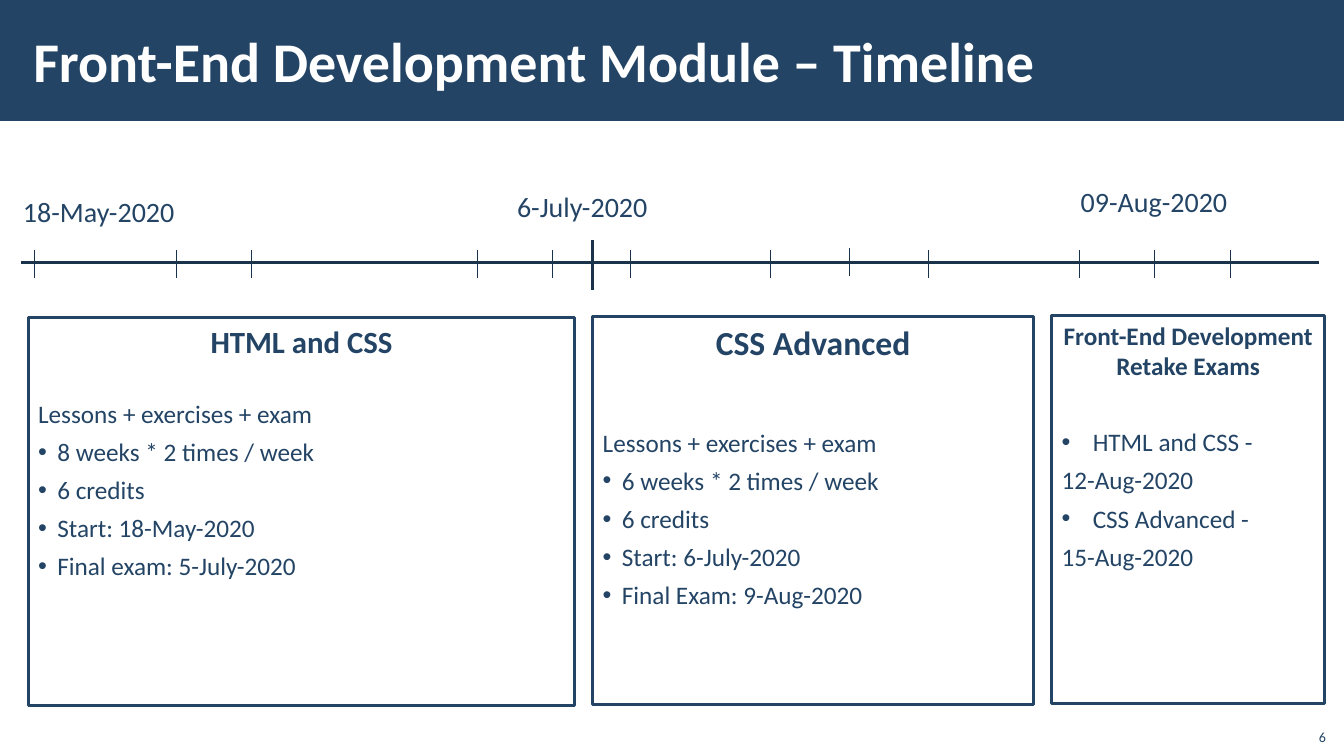
import dataclasses

import pptx
import pptx.dml.color
import pptx.enum.shapes
import pptx.enum.text
import pptx.oxml.ns
import pptx.util
from lxml import etree
from pptx.util import Inches

PP_ALIGN = pptx.enum.text.PP_ALIGN
ANCHOR = pptx.enum.text.MSO_ANCHOR
qn = pptx.oxml.ns.qn


@dataclasses.dataclass(frozen=True)
class Theme:
    font: str = "Calibri"
    navy: str = "234465"
    axis: str = "1A334C"
    white: str = "FFFFFF"
    title: int = 40
    date: int = 20
    body: int = 18
    number: int = 10
    row_gap: float = 5.6
    border: float = 2
    axis_width: float = 2.25
    tick_width: float = 0.5


THEME = Theme()
AXIS_Y = 2.6
TICKS = [0.34, 1.75, 2.49, 4.73, 5.48, 6.25, 7.64, 9.21, 10.71, 11.45, 12.2]
DATES = [
    ("18-May-2020", 0.13, 1.88),
    ("6-July-2020", 5.03, 1.83),
    ("09-Aug-2020", 10.62, 1.78),
]
COURSES = [
    dict(
        box=(0.28, 3.15, 5.42, 3.85), heading="HTML and CSS", size=22, gap=22, indent=0.19,
        rows=[
            ("Lessons + exercises + exam", False),
            ("8 weeks * 2 times / week", True),
            ("6 credits", True),
            ("Start: 18-May-2020", True),
            ("Final exam: 5-July-2020", True),
        ],
    ),
    dict(
        box=(5.88, 3.14, 4.37, 3.85), heading="CSS Advanced", size=24, gap=41, indent=0.19,
        rows=[
            ("Lessons + exercises + exam", False),
            ("6 weeks * 2 times / week", True),
            ("6 credits", True),
            ("Start: 6-July-2020", True),
            ("Final Exam: 9-Aug-2020", True),
        ],
    ),
    dict(
        box=(10.43, 3.13, 2.71, 3.85), heading="Front-End Development\vRetake Exams",
        size=18, gap=27, indent=0.31,
        rows=[
            ("HTML and CSS -", True),
            ("12-Aug-2020", False),
            ("CSS Advanced -", True),
            ("15-Aug-2020", False),
        ],
    ),
]


def rgb(value):
    return pptx.dml.color.RGBColor.from_string(value)


def apply(target, values):
    for name, value in values.items():
        setattr(target, name, value)


def write(p, text, size, color=THEME.navy, bold=False, **paragraph):
    p.text = text
    apply(p, {"alignment": PP_ALIGN.LEFT, **paragraph})
    for r in p.runs:
        apply(r.font, {"name": THEME.font, "size": pptx.util.Pt(size), "bold": bold})
        r.font.color.rgb = rgb(color)


def add_bullet(p, indent):
    pPr = p._p.get_or_add_pPr()
    pPr.set("marL", str(Inches(indent)))
    pPr.set("indent", str(-Inches(indent)))
    etree.SubElement(pPr, qn("a:buFont")).set("typeface", "Arial")
    etree.SubElement(pPr, qn("a:buChar")).set("char", "•")


def add_rect(s, box, fill, line=None):
    sp = s.shapes.add_shape(pptx.enum.shapes.MSO_SHAPE.RECTANGLE, *map(Inches, box))
    sp.shadow.inherit = False
    sp.fill.solid()
    sp.fill.fore_color.rgb = rgb(fill)
    if line:
        sp.line.color.rgb = rgb(line)
        sp.line.width = pptx.util.Pt(THEME.border)
    else:
        sp.line.fill.background()
    return sp


def add_title(s, text):
    title = s.shapes.title
    band = add_rect(s, (0, 0, 13.34, 1.2), THEME.navy)
    title._element.addprevious(band._element)
    apply(title, dict(left=Inches(0.21), top=Inches(0.11), width=Inches(10.63), height=Inches(0.97)))
    tf = title.text_frame
    apply(tf, dict(
        vertical_anchor=ANCHOR.MIDDLE, auto_size=pptx.enum.text.MSO_AUTO_SIZE.NONE,
        margin_left=Inches(0.12), margin_right=Inches(0.12),
        margin_top=Inches(0.04), margin_bottom=Inches(0.04),
    ))
    write(tf.paragraphs[0], text, THEME.title, THEME.white, True)


def add_line(shapes, start, end, width):
    points = map(Inches, (*start, *end))
    line = shapes.add_connector(pptx.enum.shapes.MSO_CONNECTOR.STRAIGHT, *points)
    line.line.color.rgb = rgb(THEME.axis)
    line.line.width = pptx.util.Pt(width)
    etree.SubElement(line._element.spPr, qn("a:effectLst"))


def add_timeline(s):
    shapes = s.shapes.add_group_shape().shapes
    add_line(shapes, (0.21, AXIS_Y), (13.08, AXIS_Y), THEME.axis_width)
    add_line(shapes, (5.88, 2.38), (5.88, 2.88), THEME.axis_width)
    for x, top in [(x, 2.48) for x in TICKS] + [(8.42, 2.46)]:
        add_line(shapes, (x, top), (x, top + 0.28), THEME.tick_width)


def add_label(s, text, box, size, align=PP_ALIGN.LEFT, anchor=ANCHOR.TOP):
    tf = s.shapes.add_textbox(*map(Inches, box)).text_frame
    apply(tf, dict(word_wrap=True, vertical_anchor=anchor))
    write(tf.paragraphs[0], text, size, alignment=align)


def add_course(s, box, heading, size, gap, indent, rows):
    tf = add_rect(s, box, THEME.white, THEME.navy).text_frame
    apply(tf, dict(word_wrap=True, vertical_anchor=ANCHOR.TOP))
    write(tf.paragraphs[0], heading, size, bold=True,
          alignment=PP_ALIGN.CENTER, space_after=pptx.util.Pt(gap))
    for text, bulleted in rows:
        p = tf.add_paragraph()
        write(p, text, THEME.body, space_before=pptx.util.Pt(THEME.row_gap))
        if bulleted:
            add_bullet(p, indent)


def main():
    prs = pptx.Presentation()
    apply(prs, dict(slide_width=Inches(13.33), slide_height=Inches(7.5)))
    s = prs.slides.add_slide(prs.slide_layouts[5])
    add_title(s, "Front-End Development Module – Timeline")
    add_timeline(s)
    for text, left, top in DATES:
        add_label(s, text, (left, top, 1.8, 0.44), THEME.date)
    for course in COURSES:
        add_course(s, **course)
    add_label(s, "6", (12.85, 7.12, 0.4, 0.32), THEME.number, PP_ALIGN.RIGHT, ANCHOR.BOTTOM)
    prs.save("out.pptx")


if __name__ == "__main__":
    main()
